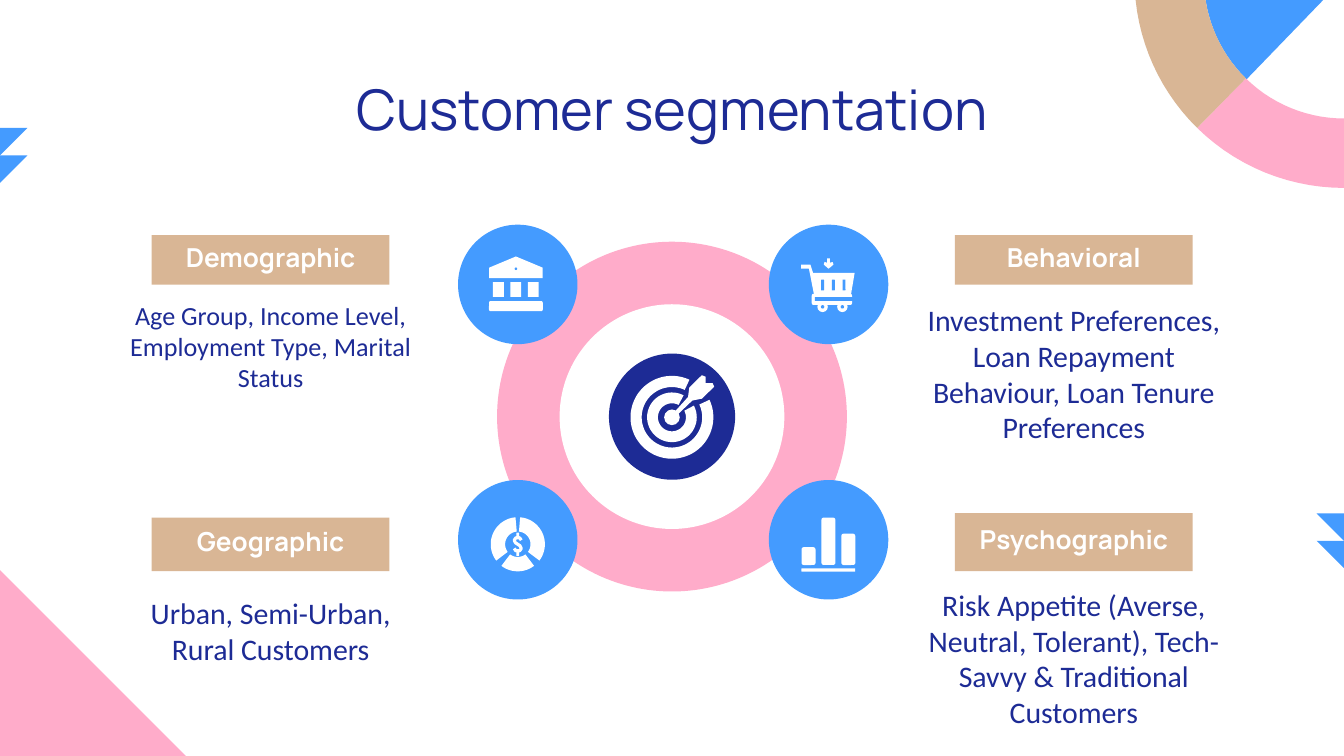
from dataclasses import dataclass
from math import cos, radians, sin

from pptx import Presentation
from pptx import util as u
from pptx.dml.color import RGBColor
from pptx.enum import shapes, text

WHITE = RGBColor(0xFF, 0xFF, 0xFF)
NAVY = RGBColor(0x1D, 0x2B, 0x95)
BLUE = RGBColor(0x44, 0x9B, 0xFF)
PINK = RGBColor(0xFF, 0xAC, 0xCA)
TAN = RGBColor(0xD9, 0xB6, 0x95)

RECTANGLE = shapes.MSO_SHAPE.RECTANGLE
ROUNDED = shapes.MSO_SHAPE.ROUNDED_RECTANGLE
OVAL = shapes.MSO_SHAPE.OVAL

WIDTH, HEIGHT = 720, 405
LEFT_BADGE, RIGHT_BADGE = 277.4, 443.9
TOP_BADGE, BOTTOM_BADGE = 152.4, 289.2
CENTER_X, CENTER_Y = 360, 223.2

Point = tuple[float, float]


@dataclass
class Segment:
    name: str
    details: str
    center_x: float
    label_top: float
    label_height: float
    body_top: float
    body_height: float
    body_size: float = 16


SEGMENTS = [
    Segment("Demographic", "Age Group, Income Level, Employment Type, Marital Status",
            145, 126, 26.6, 153.4, 64, 14),
    Segment("Geographic", "Urban, Semi-Urban, Rural Customers",
            145, 277.3, 28.7, 306, 64),
    Segment("Behavioral",
            "Investment Preferences, Loan Repayment Behaviour, Loan Tenure Preferences",
            575.3, 126, 26.6, 153.4, 93),
    Segment("Psychographic",
            "Risk Appetite (Averse, Neutral, Tolerant), Tech-Savvy & Traditional Customers",
            575.3, 275, 31, 306, 93),
]


def paint(shape, color: RGBColor) -> None:
    shape.shadow.inherit = False
    shape.fill.solid()
    shape.fill.fore_color.rgb = color
    shape.line.fill.background()


def add_block(slide, kind, left: float, top: float, width: float, height: float,
              color: RGBColor = WHITE):
    shape = slide.shapes.add_shape(kind, u.Pt(left), u.Pt(top), u.Pt(width), u.Pt(height))
    paint(shape, color)
    return shape


def add_circle(slide, x: float, y: float, radius: float, color: RGBColor = WHITE) -> None:
    add_block(slide, OVAL, x - radius, y - radius, 2 * radius, 2 * radius, color)


def add_outline(slide, points: list[Point], color: RGBColor = WHITE,
                origin: Point = (0, 0), stroke: float = 0) -> None:
    """Draw a filled polygon, or an open line when a stroke width is given."""
    start, *others = [(u.Pt(origin[0] + x), u.Pt(origin[1] + y)) for x, y in points]
    builder = slide.shapes.build_freeform(*start)
    builder.add_line_segments(others, close=not stroke)
    shape = builder.convert_to_shape()
    paint(shape, color)
    if stroke:
        shape.fill.background()
        shape.line.color.rgb = color
        shape.line.width = u.Pt(stroke)


def add_sector(slide, center: Point, inner: float, outer: float,
               start: float, end: float, color: RGBColor = WHITE) -> None:
    """Draw a ring sector; angles are degrees, clockwise from the right."""
    steps = max(8, int(abs(end - start) / 3))
    angles = [radians(start + (end - start) * i / steps) for i in range(steps + 1)]
    points = [(outer * cos(a), outer * sin(a)) for a in angles]
    points += [(inner * cos(a), inner * sin(a)) for a in reversed(angles)]
    add_outline(slide, points, color, center)


def write(shape, content: str, *, size: float, font: str, color: RGBColor,
          bold: bool = False, spacing: float = 1.0) -> None:
    frame = shape.text_frame
    frame.word_wrap = True
    frame.auto_size = text.MSO_AUTO_SIZE.NONE
    frame.vertical_anchor = text.MSO_ANCHOR.MIDDLE
    frame.margin_left = frame.margin_right = u.Pt(7.2)
    frame.margin_top = frame.margin_bottom = u.Pt(7.2)
    paragraph = frame.paragraphs[0]
    paragraph.alignment = text.PP_ALIGN.CENTER
    paragraph.line_spacing = spacing
    run = paragraph.add_run()
    run.text = content
    run.font.size = u.Pt(size)
    run.font.name = font
    run.font.bold = bold
    run.font.color.rgb = color


def add_decoration(slide) -> None:
    add_outline(slide, [(0, HEIGHT), (99.6, HEIGHT), (0, 305.4)], PINK)
    corner = (WIDTH, -11.5)
    add_sector(slide, corner, 0, 75, 134, 180, BLUE)
    add_sector(slide, corner, 75, 112.2, 90, 134.5, PINK)
    add_sector(slide, corner, 75, 112.2, 134.5, 180, TAN)
    side = 14.7
    for i in range(2):
        for edge, top, reach in ((0, 68.5, side), (WIDTH, 275, -side)):
            y = top + i * side
            add_outline(slide, [(edge + reach, y), (edge, y), (edge, y + side)], BLUE)


def add_segment(slide, segment: Segment) -> None:
    label = add_block(slide, RECTANGLE, segment.center_x - 63.7, segment.label_top,
                      127.4, segment.label_height, TAN)
    write(label, segment.name, size=14, font="Manrope", color=WHITE, bold=True, spacing=0.8)
    body = slide.shapes.add_textbox(u.Pt(segment.center_x - 87.8), u.Pt(segment.body_top),
                                    u.Pt(175.6), u.Pt(segment.body_height))
    write(body, segment.details, size=segment.body_size, font="Calibri", color=NAVY)


def add_bank_icon(slide, x: float, y: float) -> None:
    roof = [(-14.3, -3.4), (-14.3, -9), (0, -15), (14.3, -9), (14.3, -3.4)]
    add_outline(slide, roof, origin=(x, y))
    add_circle(slide, x, y - 8.4, 0.7, BLUE)
    for i in range(3):
        add_block(slide, RECTANGLE, x - 12.3 + i * 9.35, y - 1.2, 5.8, 7.9)
    add_block(slide, ROUNDED, x - 14.4, y + 8.9, 28.8, 5.4)


def add_cart_icon(slide, x: float, y: float) -> None:
    arrow = [(-0.7, -14), (0.7, -14), (0.7, -11.6), (2.2, -12), (2.6, -10.6),
             (0, -8.4), (-2.6, -10.6), (-2.2, -12), (-0.7, -11.6)]
    basket = [(-14.7, -10.6), (-9.7, -10.6), (-8.3, -6.2), (14, -6.2), (11.8, 6.8),
              (-7.5, 6.8), (-10.5, -8.4), (-14.7, -8.4)]
    for points in (arrow, basket):
        add_outline(slide, points, origin=(x, y))
    for i in range(3):
        add_block(slide, ROUNDED, x - 4 + i * 5.75, y - 2.6, 1.6, 5.8, BLUE)
    add_block(slide, ROUNDED, x - 9, y + 5, 21.6, 6)
    add_block(slide, RECTANGLE, x - 7.3, y + 6.8, 21, 2, BLUE)
    for wheel_x in (x - 3.2, x + 7.4):
        add_circle(slide, wheel_x, y + 12, 2.8)
        add_circle(slide, wheel_x, y + 12, 0.9, BLUE)


def add_money_icon(slide, x: float, y: float) -> None:
    for start, end in ((143, 265), (275, 397), (53, 127)):
        add_sector(slide, (x, y), 6.8, 14.5, start, end)
    dollar = [(1.9, -2.2), (1, -3.5), (-1, -3.5), (-1.9, -2.2), (-1.2, -0.8),
              (1.2, 0.8), (1.9, 2.2), (1, 3.5), (-1, 3.5), (-1.9, 2.2)]
    add_outline(slide, dollar, origin=(x, y), stroke=1.7)
    for top in (-6.2, 3.5):
        add_block(slide, ROUNDED, x - 0.8, y + top, 1.6, 2.7)


def add_chart_icon(slide, x: float, y: float) -> None:
    baseline = y + 13.5
    for i, height in enumerate((9.6, 25.4, 16.8)):
        add_block(slide, ROUNDED, x - 14.5 + i * 10.65, baseline - height, 7.5, height)
    add_block(slide, ROUNDED, x - 14.5, y + 15.3, 28.8, 1.8)


def add_target_icon(slide, x: float, y: float) -> None:
    add_sector(slide, (x, y), 16.2, 22.2, -25, 295)
    add_sector(slide, (x, y), 7.5, 13.3, -28, 298)
    add_circle(slide, x, y, 4.2)
    arrow = [(0.8, -2.3), (8.6, -10.9), (9.3, -16), (16, -22.6), (18, -21.8), (18, -18.4),
             (21.8, -18.4), (22.6, -16.4), (16, -10), (10.9, -9), (2.3, -0.8)]
    add_outline(slide, arrow, origin=(x, y))


def main() -> None:
    presentation = Presentation()
    presentation.slide_width, presentation.slide_height = u.Pt(WIDTH), u.Pt(HEIGHT)
    slide = presentation.slides.add_slide(presentation.slide_layouts[5])

    # Background decoration and title
    add_decoration(slide)
    title = slide.shapes.title
    title.left, title.top = u.Pt(56.2), u.Pt(35.3)
    title.width, title.height = u.Pt(607.7), u.Pt(45.4)
    write(title, "Customer segmentation", size=30, font="Manrope", color=NAVY)

    # Segment labels and descriptions
    for segment in SEGMENTS:
        add_segment(slide, segment)

    # Central ring with four badges
    add_circle(slide, CENTER_X, CENTER_Y, 93.7, PINK)
    add_circle(slide, CENTER_X, CENTER_Y, 60.2)
    for x in (LEFT_BADGE, RIGHT_BADGE):
        for y in (TOP_BADGE, BOTTOM_BADGE):
            add_circle(slide, x, y, 32, BLUE)
    add_circle(slide, CENTER_X, CENTER_Y, 33.8, NAVY)

    # Icons
    add_bank_icon(slide, LEFT_BADGE - 1, TOP_BADGE)
    add_cart_icon(slide, RIGHT_BADGE, TOP_BADGE)
    add_money_icon(slide, LEFT_BADGE, BOTTOM_BADGE + 2.4)
    add_chart_icon(slide, RIGHT_BADGE, BOTTOM_BADGE)
    add_target_icon(slide, CENTER_X, CENTER_Y + 0.4)

    presentation.save("out.pptx")


if __name__ == "__main__":
    main()
